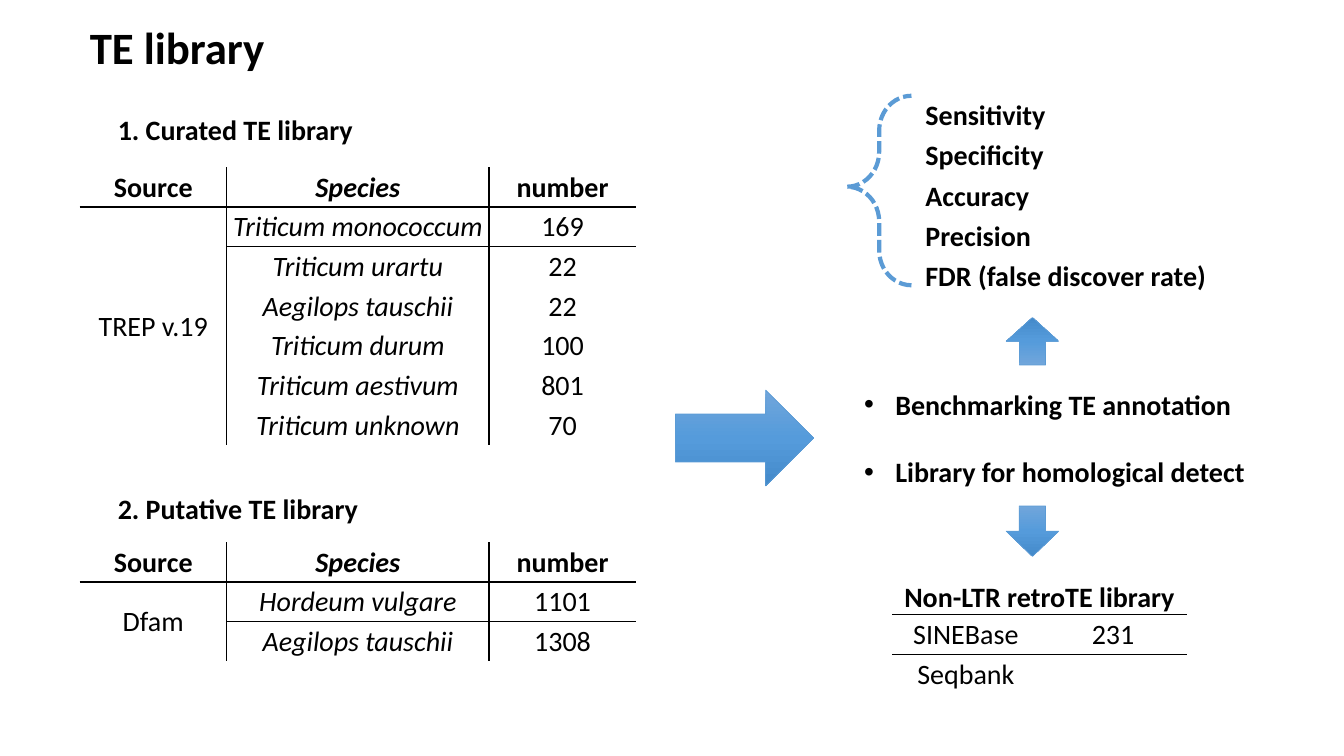
from copy import deepcopy

from lxml import etree
from pptx import Presentation
from pptx.dml.color import RGBColor
from pptx.enum.dml import MSO_LINE
from pptx.enum.shapes import MSO_SHAPE
from pptx.enum.text import MSO_ANCHOR, MSO_AUTO_SIZE, PP_ALIGN
from pptx.oxml.ns import qn
from pptx.util import Inches, Pt

LEFT, CENTER = PP_ALIGN.LEFT, PP_ALIGN.CENTER
MIDDLE, TOP = MSO_ANCHOR.MIDDLE, MSO_ANCHOR.TOP
NO_FIT = MSO_AUTO_SIZE.NONE
DASH = MSO_LINE.SQUARE_DOT
RIGHT_ARROW, DOWN_ARROW = MSO_SHAPE.RIGHT_ARROW, MSO_SHAPE.DOWN_ARROW
LEFT_BRACE = MSO_SHAPE.LEFT_BRACE

FONT = "Calibri"
BLACK, BLUE = "000000", "5B9BD5"
GRADIENT = ["71A6DB", "559BDB", "448ACA"]
PLAIN_TABLE = "{2D5ABB26-0587-4C30-8999-92F81FD0307C}"
HEADER = ["Source", "Species", "number"]
SOURCE_COLS = [1.46, 2.6, 1.46]
ROW = 0.394


def rgb(color):
    return RGBColor.from_string(color)


def box(at):
    return [Inches(v) for v in at]


def write(tf, lines, size=20, bold=True, italic=False, align=LEFT,
          anchor=TOP, spacing=1.0, after=0):
    tf.word_wrap = True
    tf.vertical_anchor = anchor
    for i, line in enumerate(lines):
        p = tf.add_paragraph() if i else tf.paragraphs[0]
        p.alignment = align
        p.line_spacing = spacing
        p.space_before = Pt(0)
        p.space_after = Pt(after)
        r = p.add_run()
        r.text = line
        r.font.name = FONT
        r.font.size = Pt(size)
        r.font.bold = bold
        r.font.italic = italic
        r.font.color.rgb = rgb(BLACK)


def add_text(shapes, at, lines, **fmt):
    write(shapes.add_textbox(*box(at)).text_frame, lines, **fmt)


def place(sp, at):
    sp.left, sp.top, sp.width, sp.height = box(at)
    sp.text_frame.auto_size = NO_FIT


def add_bullets(sp, at, lines):
    place(sp, at)
    write(sp.text_frame, lines, after=24.4)
    for p in sp.text_frame.paragraphs:
        pPr = p._p.get_or_add_pPr()
        pPr.set("marL", str(Inches(0.31)))
        pPr.set("indent", str(-Inches(0.31)))
        etree.SubElement(pPr, qn("a:buFont"), typeface="Arial")
        etree.SubElement(pPr, qn("a:buChar"), char="•")


def add_shape(shapes, kind, at, line_width):
    sp = shapes.add_shape(kind, *box(at))
    sp.shadow.inherit = False
    sp.line.color.rgb = rgb(BLUE)
    sp.line.width = Pt(line_width)
    return sp


def add_arrow(shapes, kind, at, rotation=0):
    sp = add_shape(shapes, kind, at, 0.5)
    sp.rotation = rotation
    sp.fill.gradient()
    sp.fill.gradient_angle = 270
    stops = sp._element.spPr.find(qn("a:gradFill")).find(qn("a:gsLst"))
    stops.insert(1, deepcopy(stops[0]))
    for i, (stop, color) in enumerate(zip(sp.fill.gradient_stops, GRADIENT)):
        stop.position = i / 2
        stop.color.rgb = rgb(color)


def set_borders(cell, sides):
    """Draw thin black lines on the sides, given in the order L, R, T, B."""
    tcPr = cell._tc.get_or_add_tcPr()
    for i, side in enumerate(sides):
        ln = etree.Element(qn("a:ln" + side), w=str(Pt(1)))
        fill = etree.SubElement(ln, qn("a:solidFill"))
        etree.SubElement(fill, qn("a:srgbClr"), val=BLACK)
        tcPr.insert(i, ln)


def add_table(shapes, left, top, cols, heights, rows, merge, divider=False,
              italic_col=None):
    """Add a table with a ruled bold header; merge holds two corner cells."""
    frame = shapes.add_table(len(rows), len(cols), *box(
        [left, top, sum(cols), sum(heights)]))
    table = frame.table
    table._tbl.tblPr.find(qn("a:tableStyleId")).text = PLAIN_TABLE
    table.first_row = table.horz_banding = False
    for col, width in zip(table.columns, cols):
        col.width = Inches(width)
    for row, height in zip(table.rows, heights):
        row.height = Inches(height)
    for r, row in enumerate(rows):
        for c, value in enumerate(row):
            cell = table.cell(r, c)
            cell.fill.background()
            cell.margin_left = cell.margin_right = cell.margin_top = Inches(0.01)
            cell.margin_bottom = 0
            cell.vertical_anchor = MIDDLE
            if value:
                write(cell.text_frame, [value], bold=r == 0,
                      italic=c == italic_col, align=CENTER, anchor=None)
            sides = ("L" if divider and c == 1 else "")
            sides += "R" if divider and c == 0 else ""
            sides += {0: "B", 1: "T"}.get(r, "")
            set_borders(cell, sides)
    first, last = merge
    table.cell(*first).merge(table.cell(*last))


def add_source_table(shapes, top, source, counts):
    """Add a table of species counts that share one source."""
    rows = [HEADER] + [[source if i == 0 else "", species, number]
                       for i, (species, number) in enumerate(counts)]
    add_table(shapes, 0.79, top, SOURCE_COLS, [ROW] * len(rows), rows,
              ((1, 0), (len(counts), 0)), divider=True, italic_col=1)


def add_measures(shapes):
    group = shapes.add_group_shape().shapes
    add_text(group, [9.08, 0.85, 3.01, 2.09],
             ["Sensitivity", "Specificity", "Accuracy", "Precision",
              "FDR (false discover rate)"], spacing=1.2)
    brace = add_shape(group, LEFT_BRACE, [8.4, 0.95, 0.64, 1.88], 3)
    brace.fill.background()
    brace.line.dash_style = DASH
    brace.adjustments[0] = 0.54
    brace.adjustments[1] = 0.48


def main():
    prs = Presentation()
    prs.slide_width, prs.slide_height = Inches(13.33), Inches(7.5)
    s = prs.slides.add_slide(prs.slide_layouts[1])
    shapes = s.shapes

    place(shapes.title, [0.79, 0.08, 11.5, 0.77])
    write(shapes.title.text_frame, ["TE library"], size=32, anchor=MIDDLE)

    add_text(shapes, [1.07, 1.07, 3.27, 0.44], ["1. Curated TE library"])
    add_source_table(shapes, 1.66, "TREP v.19", [
        ("Triticum monococcum", "169"), ("Triticum urartu", "22"),
        ("Aegilops tauschii", "22"), ("Triticum durum", "100"),
        ("Triticum aestivum", "801"), ("Triticum unknown", "70")])

    add_text(shapes, [1.07, 4.83, 4.27, 0.44], ["2. Putative TE library"])
    add_source_table(shapes, 5.38, "Dfam", [
        ("Hordeum vulgare", "1101"), ("Aegilops tauschii", "1308")])

    add_arrow(shapes, RIGHT_ARROW, [6.7, 3.87, 1.37, 0.95])
    add_bullets(s.placeholders[1], [8.47, 3.79, 4.07, 1.11],
                ["Benchmarking TE annotation", "Library for homological detect"])
    add_arrow(shapes, DOWN_ARROW, [9.98, 3.15, 0.52, 0.47], rotation=180)
    add_arrow(shapes, DOWN_ARROW, [9.98, 5.02, 0.52, 0.5])

    add_table(shapes, 8.85, 5.75, [1.46, 1.46], [0.35, ROW, ROW],
              [["Non-LTR retroTE library", ""], ["SINEBase", "231"],
               ["Seqbank", ""]], ((0, 0), (0, 1)))
    add_measures(shapes)

    prs.save("out.pptx")


if __name__ == "__main__":
    main()
